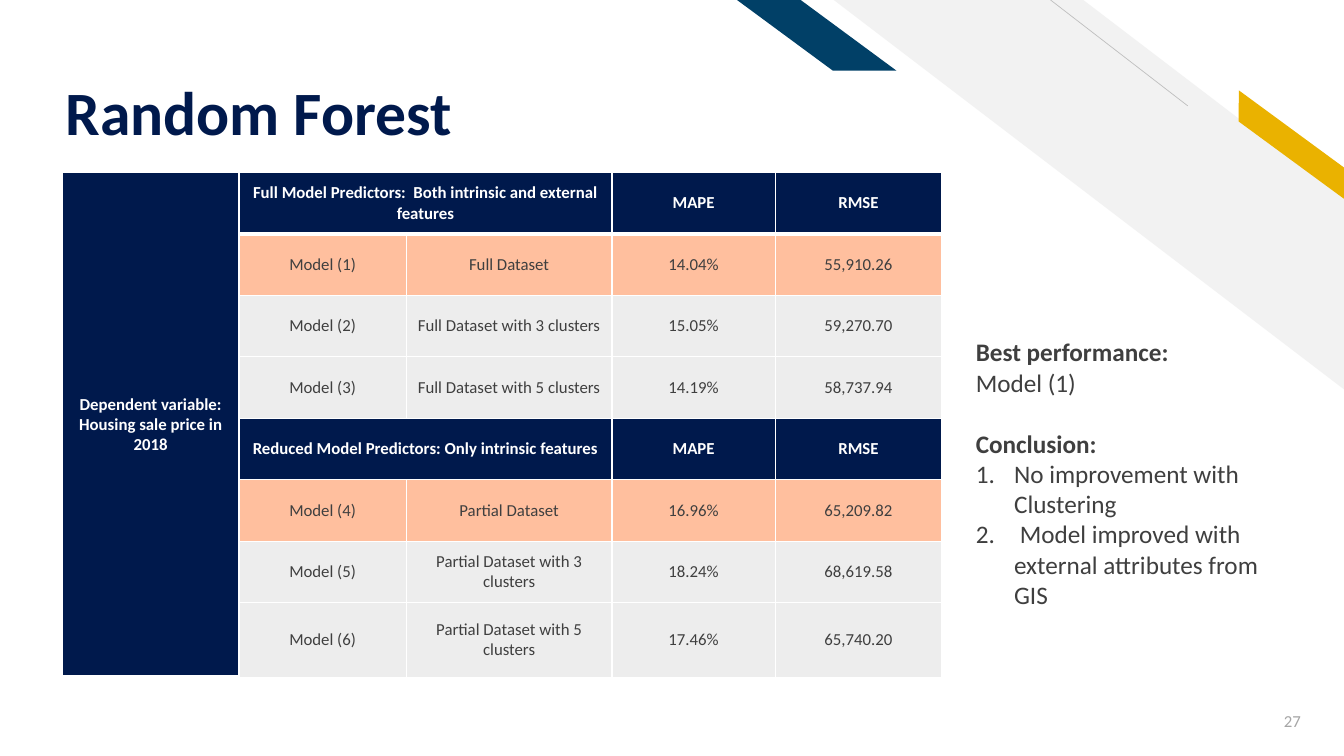
from lxml import etree
from pptx import Presentation
from pptx.dml.color import RGBColor
from pptx.enum.shapes import MSO_CONNECTOR, MSO_SHAPE
from pptx.enum.text import MSO_ANCHOR, PP_ALIGN
from pptx.oxml.ns import qn
from pptx.util import Inches, Pt

STRIPE = MSO_SHAPE.DIAGONAL_STRIPE
PARALLELOGRAM = MSO_SHAPE.PARALLELOGRAM
STRAIGHT = MSO_CONNECTOR.STRAIGHT
TOP, MIDDLE, BOTTOM = MSO_ANCHOR.TOP, MSO_ANCHOR.MIDDLE, MSO_ANCHOR.BOTTOM
LEFT, CENTER, RIGHT = PP_ALIGN.LEFT, PP_ALIGN.CENTER, PP_ALIGN.RIGHT

NAVY, WHITE, DARK = "00194C", "FFFFFF", "3F3F3F"
PEACH, PALE = "FFBF9E", "EDEDED"


def color(value):
    return RGBColor.from_string(value)


class SlideBuilder:
    font_name = "Calibri"

    def __init__(self, slide):
        self.slide = slide

    def band(self, preset, left, top, width, height, adjustment, fill, rotation=0):
        band = self.slide.shapes.add_shape(
            preset, Inches(left), Inches(top), Inches(width), Inches(height))
        band.adjustments[0] = adjustment
        band.rotation = rotation
        band.shadow.inherit = False
        band.fill.solid()
        band.fill.fore_color.rgb = color(fill)
        band.line.fill.background()
        band._element.spPr.find(qn("a:xfrm")).set("flipH", "1")

    def line(self, x1, y1, x2, y2, stroke, width):
        line = self.slide.shapes.add_connector(
            STRAIGHT, Inches(x1), Inches(y1), Inches(x2), Inches(y2))
        line.line.color.rgb = color(stroke)
        line.line.width = Pt(width)
        etree.SubElement(line._element.spPr, qn("a:effectLst"))

    def style(self, paragraph, size, ink, bold=False, align=LEFT):
        paragraph.alignment = align
        for run in paragraph.runs:
            run.font.name = self.font_name
            run.font.size = Pt(size)
            run.font.bold = bold
            run.font.color.rgb = color(ink)

    def frame(self, left, top, width, height, anchor=TOP):
        box = self.slide.shapes.add_textbox(
            Inches(left), Inches(top), Inches(width), Inches(height))
        frame = box.text_frame
        frame.word_wrap = True
        frame.vertical_anchor = anchor
        return frame

    def label(self, text, left, top, width, height, size, ink, anchor,
              bold=False, align=LEFT):
        frame = self.frame(left, top, width, height, anchor)
        frame.text = text
        self.style(frame.paragraphs[0], size, ink, bold, align)
        return frame

    def findings(self, entries, left, top, width, height, size, ink):
        frame = self.frame(left, top, width, height)
        frame.text = "\n".join(text for text, kind in entries)
        for index, (paragraph, (_, kind)) in enumerate(zip(frame.paragraphs, entries)):
            if kind == "item":
                properties = paragraph._p.get_or_add_pPr()
                properties.set("marL", str(Inches(0.38)))
                properties.set("indent", str(Inches(-0.38)))
                etree.SubElement(properties, qn("a:buAutoNum"), type="arabicPeriod")
            if kind == "heading" and index:
                paragraph.space_before = Pt(22)
            self.style(paragraph, size, ink, kind == "heading")

    def cell(self, cell, text, fill, ink, bold, bottom_width):
        cell.text = text
        cell.vertical_anchor = MIDDLE
        cell.margin_left = cell.margin_right = Inches(0.07)
        cell.margin_top = cell.margin_bottom = Inches(0.07)
        for paragraph in cell.text_frame.paragraphs:
            properties = paragraph._p.get_or_add_pPr()
            properties.set("marL", "0")
            properties.set("indent", str(Inches(-0.1)))
            self.style(paragraph, 12, ink, bold, CENTER)
        borders = cell._tc.get_or_add_tcPr()
        for side, width in (("L", 1), ("R", 1), ("T", 1), ("B", bottom_width)):
            border = etree.SubElement(borders, qn(f"a:ln{side}"), w=str(Pt(width)))
            solid = etree.SubElement(border, qn("a:solidFill"))
            etree.SubElement(solid, qn("a:srgbClr"), val=WHITE)
        cell.fill.solid()
        cell.fill.fore_color.rgb = color(fill)

    def results(self, subject, rows, left, top, widths, row_height):
        table = self.slide.shapes.add_table(
            len(rows), len(widths), Inches(left), Inches(top),
            Inches(sum(widths)), Inches(row_height * len(rows))).table
        table.first_row = table.horz_banding = False
        for column, width in zip(table.columns, widths):
            column.width = Inches(width)
        for r, (kind, *values) in enumerate(rows):
            table.rows[r].height = Inches(row_height)
            header = kind == "header"
            fill = {"header": NAVY, "best": PEACH, "other": PALE}[kind]
            self.cell(table.cell(r, 0), "" if r else subject, NAVY, WHITE, True,
                      1 if r else 3)
            for c, value in enumerate(values, 1):
                self.cell(table.cell(r, c), value, fill, WHITE if header else DARK,
                          header, 1 if r else 3)
            if header:
                table.cell(r, 1).merge(table.cell(r, 2))
        table.cell(0, 0).merge(table.cell(len(rows) - 1, 0))


def main():
    presentation = Presentation()
    presentation.slide_width = Inches(13.33)
    presentation.slide_height = Inches(7.5)
    builder = SlideBuilder(presentation.slides.add_slide(presentation.slide_layouts[6]))

    builder.band(STRIPE, 8.27, 0, 5.07, 3.87, 0.512, "F2F2F2")
    builder.line(11.78, 1.05, 10.42, 0, "BFBFBF", 0.5)
    builder.band(PARALLELOGRAM, 12.07, 1.31, 1.48, 0.25, 0.72, "EAB200", 36.3)
    builder.band(PARALLELOGRAM, 7.31, 0, 1.58, 0.7, 1.356, "014067")

    title = builder.label("Random Forest", 0.55, 0.22, 9.11, 1.26, 44, NAVY, BOTTOM, True)
    title.margin_bottom = 0
    title.paragraphs[0].line_spacing = 0.9
    builder.label("27", 12.19, 6.95, 0.81, 0.4, 12, "A5A5A5", MIDDLE, align=RIGHT)

    models = [
        ("header", "Full Model Predictors:  Both intrinsic and external features",
         "", "MAPE", "RMSE"),
        ("best", "Model (1)", "Full Dataset", "14.04%", "55,910.26"),
        ("other", "Model (2)", "Full Dataset with 3 clusters", "15.05%", "59,270.70"),
        ("other", "Model (3)", "Full Dataset with 5 clusters", "14.19%", "58,737.94"),
        ("header", "Reduced Model Predictors: Only intrinsic features",
         "", "MAPE", "RMSE"),
        ("best", "Model (4)", "Partial Dataset", "16.96%", "65,209.82"),
        ("other", "Model (5)", "Partial Dataset with 3 clusters", "18.24%", "68,619.58"),
        ("other", "Model (6)", "Partial Dataset with 5 clusters", "17.46%", "65,740.20"),
    ]
    builder.results("Dependent variable:\nHousing sale price in 2018", models,
                    0.62, 1.71, (1.75, 1.66, 2.04, 1.62, 1.65), 0.61)

    conclusions = [
        ("Best performance:", "heading"),
        ("Model (1)", "plain"),
        ("Conclusion:", "heading"),
        ("No improvement with Clustering", "item"),
        (" Model improved with external attributes from GIS", "item"),
    ]
    builder.findings(conclusions, 9.58, 3.29, 3.04, 3.13, 18, DARK)

    presentation.save("out.pptx")


if __name__ == "__main__":
    main()
